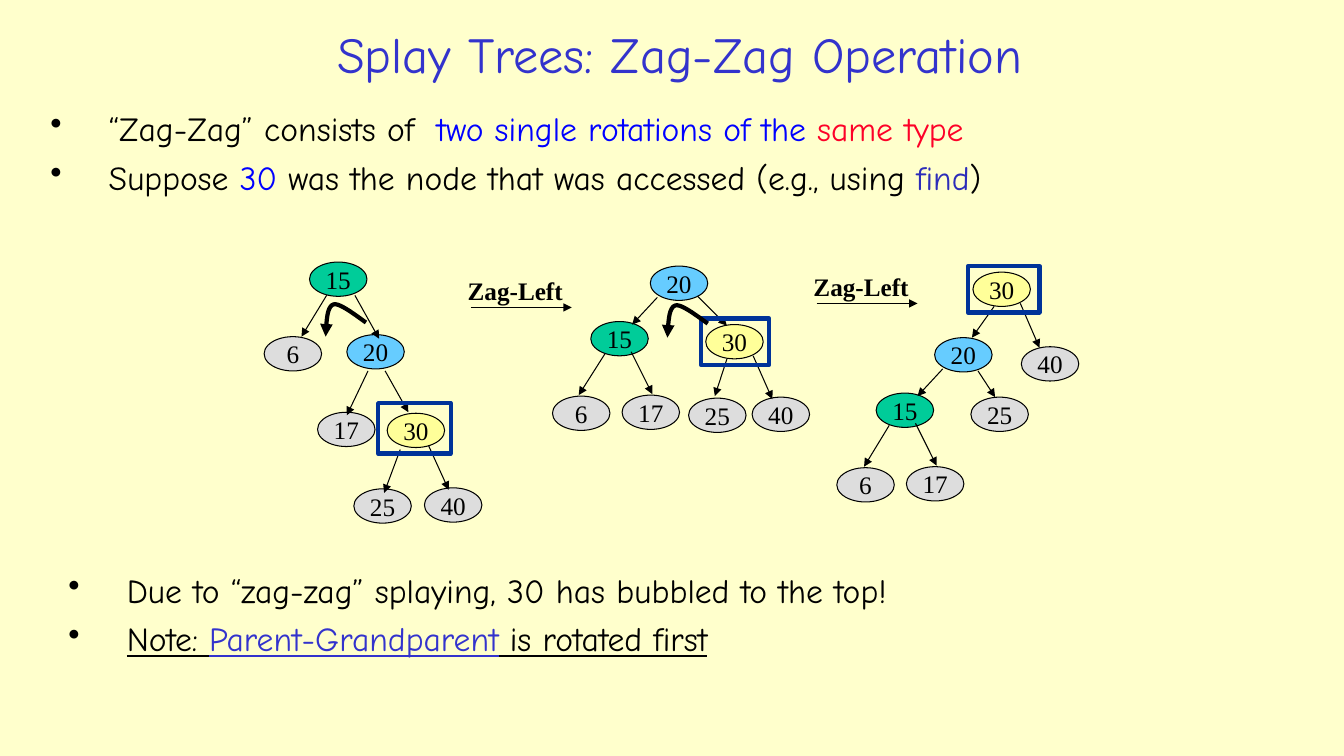
from dataclasses import dataclass

from lxml.etree import SubElement as Sub
from pptx import Presentation
from pptx.dml.color import RGBColor as Rgb
from pptx.enum.shapes import MSO_CONNECTOR as Link, MSO_SHAPE as Kind
from pptx.enum.text import MSO_ANCHOR as Anchor, PP_ALIGN as Align
from pptx.oxml.ns import qn
from pptx.util import Pt

PX = 9144  # 100 px to the inch


@dataclass(frozen=True)
class Theme:
    back: str = "FFFFCC"
    ink: str = "000000"
    head: str = "3333CC"
    blue: str = "0000FF"
    red: str = "FD0128"
    code: str = "2D2DB9"
    frame: str = "003399"
    leaf: str = "DDDDDD"
    green: str = "00CC99"
    sky: str = "66CCFF"
    gold: str = "FFFF99"
    sans: str = "Comic Neue"
    serif: str = "Times New Roman"
    big: int = 36
    mid: int = 24
    small: int = 18
    thin: float = 0.75
    thick: float = 3


T = Theme()
FILLS = {"15": T.green, "20": T.sky, "30": T.gold}
NODE = (57, 34)

# Each tree: box origin, node corners, edges, frame and curl inside the box
TREES = [
    dict(
        box=(262, 260),
        nodes={"15": (45, 0), "6": (0, 74), "20": (82, 72), "17": (53, 149),
               "30": (122, 150), "25": (89, 225), "40": (159, 224)},
        edges=[(62, 33, 37, 74), (90, 33, 114, 76), (103, 108, 82, 152),
               (120, 108, 143, 149), (135, 186, 119, 229), (163, 182, 183, 226)],
        frame=(113, 140, 72, 50),
        curl=(61, 40),
    ),
    dict(
        box=(548, 264),
        nodes={"20": (97, 0), "15": (38, 55), "30": (152, 58), "6": (0, 129),
               "17": (69, 128), "25": (135, 131), "40": (198, 130)},
        edges=[(104, 31, 79, 58), (144, 30, 173, 59), (52, 87, 26, 128),
               (78, 85, 99, 127), (173, 92, 161, 129), (199, 89, 218, 132)],
        frame=(147, 52, 68, 46),
        curl=(114, 37),
    ),
    dict(
        box=(830, 264),
        nodes={"30": (135, 6), "20": (97, 71), "40": (183, 80), "15": (39, 126),
               "25": (133, 130), "6": (0, 200), "17": (69, 199)},
        edges=[(156, 40, 134, 71), (182, 37, 201, 81), (105, 102, 80, 129),
               (140, 104, 157, 130), (52, 158, 27, 199), (78, 156, 99, 198)],
        frame=(130, 0, 71, 46),
        curl=None,
    ),
]


def emu(*sides):
    return [side * PX for side in sides]


def write(para, text, font=T.sans, size=T.mid, color=T.ink, bold=False, under=False):
    run = para.add_run()
    run.text = text
    face = run.font
    face.name, face.size, face.bold = font, Pt(size), bold
    face.underline = under or None
    face.color.rgb = Rgb.from_string(color)


def text_box(slide, box, wrap=True):
    frame = slide.shapes.add_textbox(*emu(*box)).text_frame
    frame.word_wrap = wrap
    return frame


def stroke(shape, color=T.ink, width=T.thin, tip=None):
    shape.line.color.rgb = Rgb.from_string(color)
    shape.line.width = Pt(width)
    if tip:
        Sub(shape.line._get_or_add_ln(), qn(f"a:{tip}"), type="triangle")


def arrow(slide, x1, y1, x2, y2):
    line = slide.shapes.add_connector(Link.STRAIGHT, *emu(x1, y1, x2, y2))
    stroke(line, tip="tailEnd")
    Sub(line._element.spPr, qn("a:effectLst"))


def title(slide, box, text):
    frame = text_box(slide, box)
    frame.vertical_anchor = Anchor.MIDDLE
    para = frame.paragraphs[0]
    para.alignment = Align.CENTER
    write(para, text, size=T.big, color=T.head)


def bullets(slide, box, rows):
    frame = text_box(slide, box)
    for i, row in enumerate(rows):
        para = frame.add_paragraph() if i else frame.paragraphs[0]
        if i:
            para.space_before = Pt(6)
        props = para._p.get_or_add_pPr()
        props.set("marL", str(58 * PX))
        props.set("indent", str(-58 * PX))
        Sub(props, qn("a:buChar"), char="•")
        for text, form in row:
            write(para, text, **form)


def node(slide, x, y, key):
    oval = slide.shapes.add_shape(Kind.OVAL, *emu(x, y, *NODE))
    oval.shadow.inherit = False
    oval.fill.solid()
    oval.fill.fore_color.rgb = Rgb.from_string(FILLS.get(key, T.leaf))
    stroke(oval)
    frame = oval.text_frame
    frame.word_wrap = False
    frame.vertical_anchor = Anchor.MIDDLE
    frame.margin_top = frame.margin_bottom = 0
    para = frame.paragraphs[0]
    para.alignment = Align.CENTER
    write(para, key, font=T.serif, size=T.small)


def outline(slide, box):
    rect = slide.shapes.add_shape(Kind.RECTANGLE, *emu(*box))
    rect.shadow.inherit = False
    rect.fill.background()
    stroke(rect, T.frame, T.thick)


def curl(slide, x, y):
    # Two cubic curves, sampled into short steps
    curves = [((0, 34), (1, 19), (1, 4), (8, 2)),
              ((8, 2), (14, 0), (34, 16), (40, 20))]
    steps = 12
    points = [(x * PX, (y + 34) * PX)]
    for curve in curves:
        for i in range(1, steps + 1):
            t = i / steps
            parts = ((1 - t) ** 3, 3 * t * (1 - t) ** 2, 3 * t * t * (1 - t), t ** 3)
            dx, dy = (sum(k * p[n] for k, p in zip(parts, curve)) for n in (0, 1))
            points.append((round((x + dx) * PX), round((y + dy) * PX)))
    path = slide.shapes.build_freeform(*points[0])
    path.add_line_segments(points[1:], close=False)
    bend = path.convert_to_shape()
    bend.shadow.inherit = False
    bend.fill.background()
    stroke(bend, width=T.thick, tip="headEnd")


def tree(slide, data):
    left, top = data["box"]
    for key, (x, y) in data["nodes"].items():
        node(slide, left + x, top + y, key)
    for x1, y1, x2, y2 in data["edges"]:
        arrow(slide, left + x1, top + y1, left + x2, top + y2)
    x, y, wide, high = data["frame"]
    outline(slide, (left + x, top + y, wide, high))
    if data["curl"]:
        x, y = data["curl"]
        curl(slide, left + x, top + y)


def turn(slide, x, y):
    arrow(slide, x + 13, y + 37, x + 113, y + 37)
    frame = text_box(slide, (x, y, 116, 40), wrap=False)
    write(frame.paragraphs[0], "Zag-Left", font=T.serif, size=T.small, bold=True)


def main():
    deck = Presentation()
    deck.slide_width, deck.slide_height = emu(1333, 750)
    slide = deck.slides.add_slide(deck.slide_layouts[6])
    back = slide.background.fill
    back.solid()
    back.fore_color.rgb = Rgb.from_string(T.back)

    # Heading and opening points
    title(slide, (197, 15, 954, 76), "Splay Trees: Zag-Zag Operation")
    bullets(slide, (40, 102, 1242, 114), [
        [("“Zag-Zag” consists of  ", {}),
         ("two single rotations of the ", dict(color=T.blue)),
         ("same type", dict(color=T.red))],
        [("Suppose ", {}), ("30 ", dict(color=T.blue)),
         ("was the node that was accessed (e.g., using ", {}),
         ("find", dict(color=T.code)), (")", {})],
    ])

    # Three trees and the turns between them
    for data in TREES:
        tree(slide, data)
    for x, y in ((454, 268), (797, 264)):
        turn(slide, x, y)

    # Closing points
    bullets(slide, (58, 560, 1075, 125), [
        [("Due to “zag-zag” splaying, 30 has bubbled to the top!", {})],
        [("Note: ", dict(under=True)),
         ("Parent-Grandparent", dict(under=True, color=T.head)),
         (" is rotated first", dict(under=True))],
    ])
    deck.save("out.pptx")


if __name__ == "__main__":
    main()
